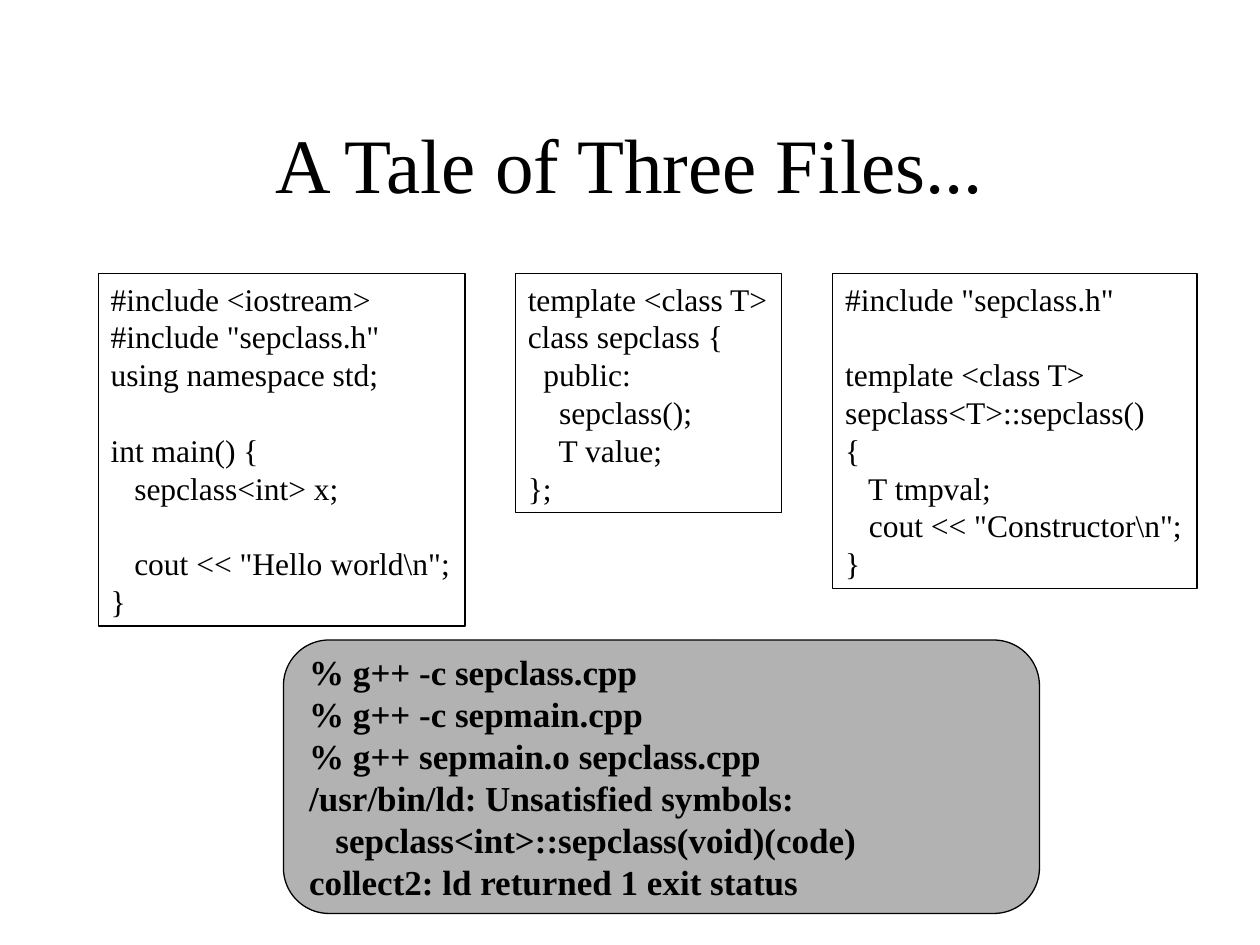
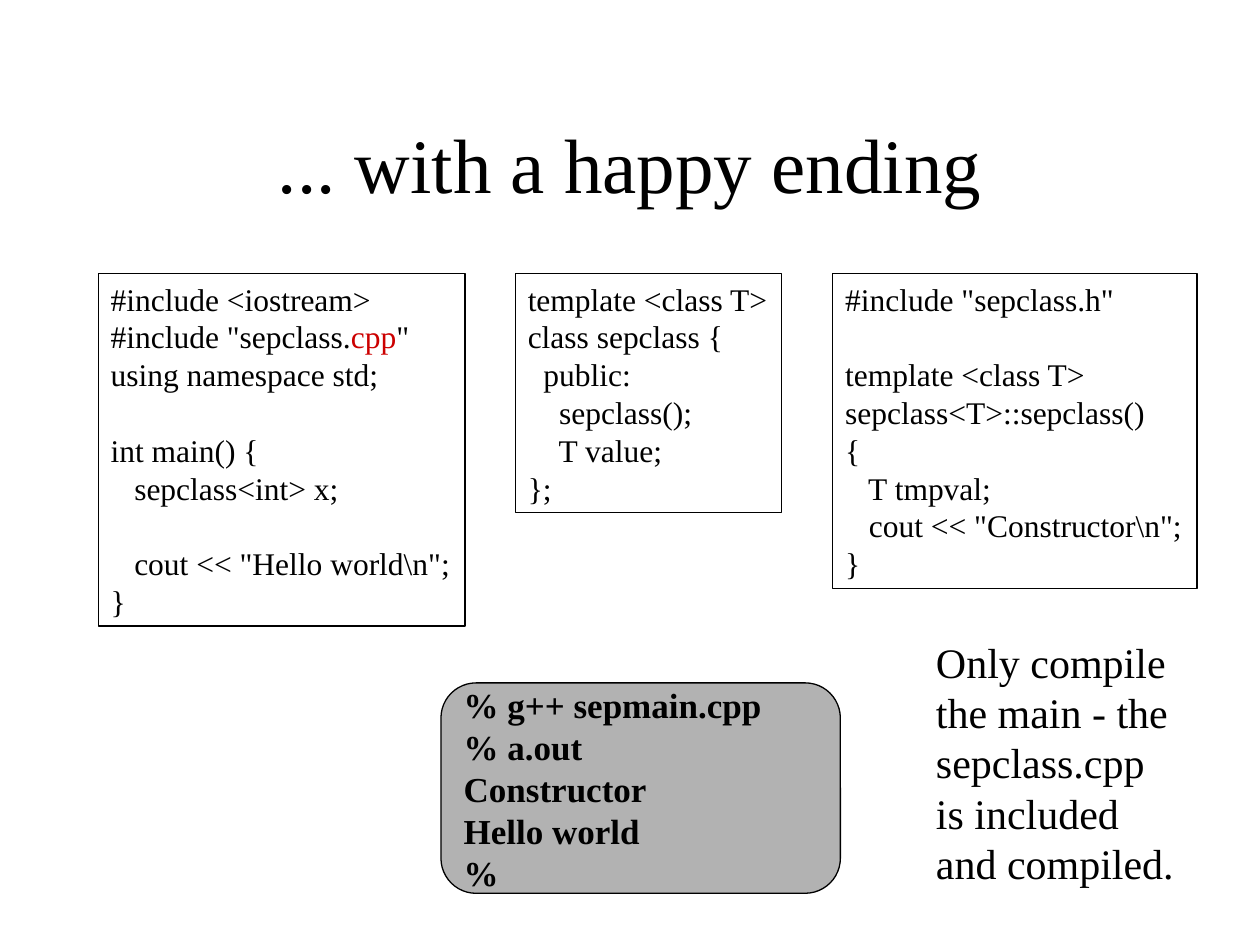
from pptx import Presentation
from pptx.dml.color import RGBColor
from pptx.enum.shapes import MSO_SHAPE
from pptx.enum.text import MSO_ANCHOR, MSO_AUTO_SIZE, PP_ALIGN
from pptx.util import Inches, Pt

BLACK = RGBColor(0x00, 0x00, 0x00)
GREY = RGBColor(0xB2, 0xB2, 0xB2)
RED = RGBColor(0xCC, 0x00, 0x00)
FONT = "Times New Roman"
LINE = 1.2


def write(frame, text, size=18, bold=False, align=PP_ALIGN.LEFT,
          anchor=MSO_ANCHOR.TOP, wrap=True, fit=MSO_AUTO_SIZE.NONE, mark=None):
    frame.word_wrap = wrap
    frame.auto_size = fit
    frame.vertical_anchor = anchor
    para, gap = None, 0
    for line in text.split("\n"):
        if not line:
            gap += size * LINE
            continue
        para = frame.add_paragraph() if para else frame.paragraphs[0]
        para.alignment = align
        para.space_before = Pt(gap)
        gap = 0
        head, hit, tail = line.partition(mark) if mark else (line, "", "")
        for part, color in ((head, BLACK), (hit, RED), (tail, BLACK)):
            if part:
                run = para.add_run()
                run.text = part
                run.font.name = FONT
                run.font.size = Pt(size)
                run.font.bold = bold
                run.font.color.rgb = color


def panel(slide, kind, left, top, width, height, fill=None):
    shape = slide.shapes.add_shape(
        kind, Inches(left), Inches(top), Inches(width), Inches(height))
    shape.shadow.inherit = False
    if fill:
        shape.fill.solid()
        shape.fill.fore_color.rgb = fill
    else:
        shape.fill.background()
    shape.line.color.rgb = BLACK
    shape.line.width = Pt(0.75)
    return shape.text_frame


MAIN = r"""#include <iostream>
#include "sepclass.{}"
using namespace std;

int main() {{
   sepclass<int> x;

   cout << "Hello world\n";
}}"""

HEADER = """template <class T>
class sepclass {
  public:
    sepclass();
    T value;
};"""

BODY = r"""#include "sepclass.h"

template <class T>
sepclass<T>::sepclass()
{
   T tmpval;
   cout << "Constructor\n";
}"""

FAIL = """% g++ -c sepclass.cpp
% g++ -c sepmain.cpp
% g++ sepmain.o sepclass.cpp
/usr/bin/ld: Unsatisfied symbols:
   sepclass<int>::sepclass(void)(code)
collect2: ld returned 1 exit status"""

PASS = """% g++ sepmain.cpp
% a.out
Constructor
Hello world
%"""

NOTE = "Only compile the main - the sepclass.cpp is included and compiled."

PAGES = [
    ("A Tale of Three Files...", "h", FAIL, (2.25, 5.08, 6, 2.17)),
    ("... with a happy ending", "cpp", PASS, (3.5, 5.42, 3.17, 1.67)),
]

deck = Presentation()
deck.slide_width = Inches(10)
deck.slide_height = Inches(7.5)

for title, suffix, output, place in PAGES:
    slide = deck.slides.add_slide(deck.slide_layouts[5])
    head = slide.shapes.title
    head.left, head.top = Inches(0.75), Inches(0.67)
    head.width, head.height = Inches(8.5), Inches(1.25)
    write(head.text_frame, title, size=44, align=PP_ALIGN.CENTER,
          anchor=MSO_ANCHOR.MIDDLE)

    files = [
        (MAIN.format(suffix), 0.78, 2.91, 2.8),
        (HEADER, 4.09, 2.11, 1.9),
        (BODY, 6.61, 2.89, 2.5),
    ]
    for code, left, width, height in files:
        frame = panel(slide, MSO_SHAPE.RECTANGLE, left, 2.17, width, height)
        write(frame, code, wrap=False, mark="cpp")

    frame = panel(slide, MSO_SHAPE.ROUNDED_RECTANGLE, *place, fill=GREY)
    write(frame, output, size=20, bold=True, anchor=MSO_ANCHOR.MIDDLE)

note = slide.shapes.add_textbox(Inches(7.33), Inches(5), Inches(2.1), Inches(2.1))
write(note.text_frame, NOTE, size=24, fit=MSO_AUTO_SIZE.SHAPE_TO_FIT_TEXT)

deck.save("out.pptx")
